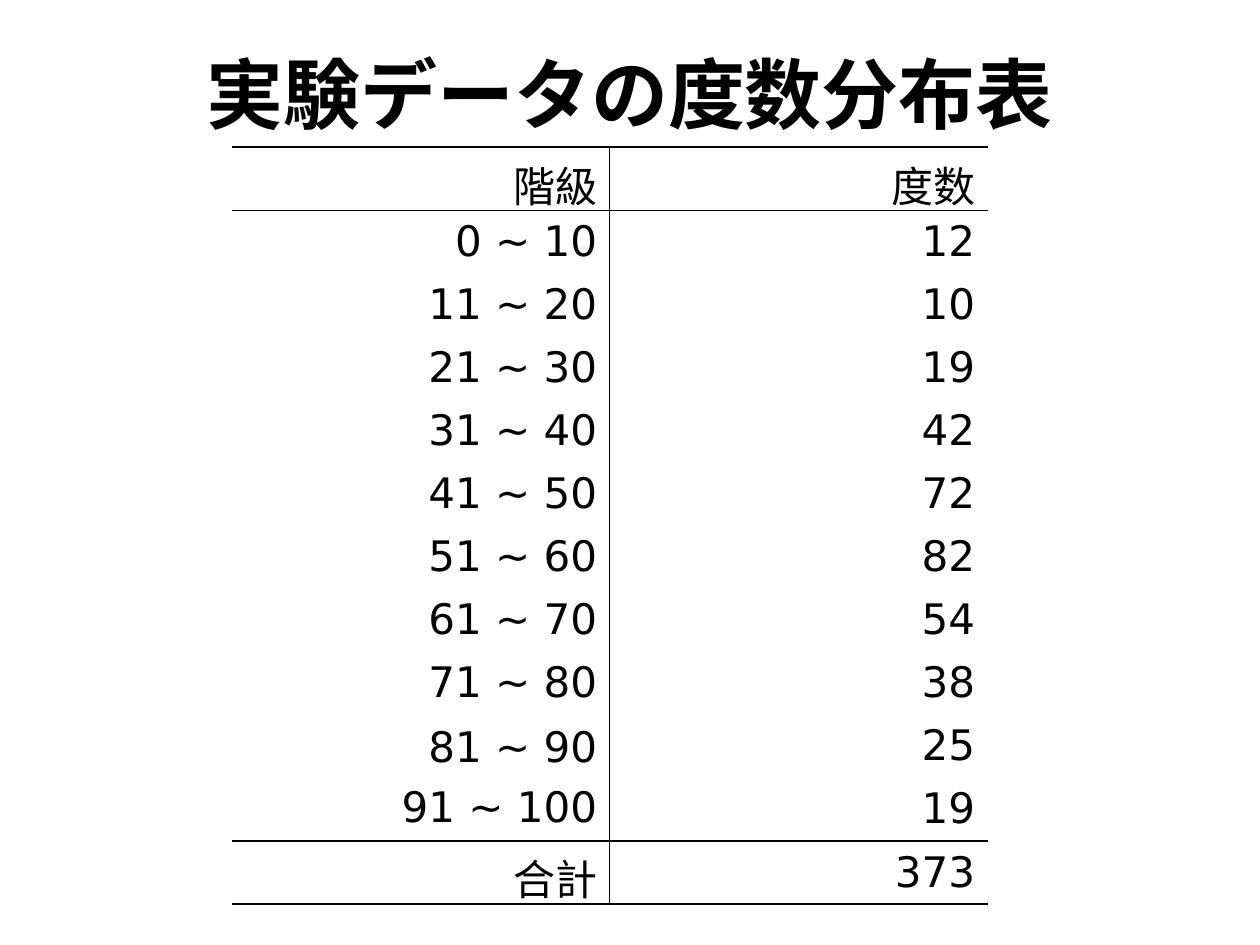
import pptx
import pptx.dml.color
import pptx.enum.text
import pptx.oxml
import pptx.oxml.ns
import pptx.util
from pptx.util import Cm

COLORS = {"text": "000000", "rule": "000000"}
OUTER, INNER, DIVIDER = 1.47, 1.08, 0.45

FREQUENCIES = [
    ("階級", "度数"),
    ("0 ~ 10", "12"),
    ("11 ~ 20", "10"),
    ("21 ~ 30", "19"),
    ("31 ~ 40", "42"),
    ("41 ~ 50", "72"),
    ("51 ~ 60", "82"),
    ("61 ~ 70", "54"),
    ("71 ~ 80", "38"),
    ("81 ~ 90", "25"),
    ("91 ~ 100", "19"),
    ("合計", "373"),
]
TOTAL_ROW = len(FREQUENCIES) - 1
MERGED_ROWS = (TOTAL_ROW - 2, TOTAL_ROW - 1)


class SlideBuilder:
    font = "DejaVu Sans"

    def __init__(self, slide):
        self.slide = slide

    def add_text(self, paragraph, text, size, align, bold=False):
        paragraph.alignment = align
        run = paragraph.add_run()
        run.text = text
        run.font.name = self.font
        run.font.size = pptx.util.Pt(size)
        run.font.bold = bold
        run.font.color.rgb = pptx.dml.color.RGBColor.from_string(COLORS["text"])

    def title(self, text, left, top, width, height):
        heading = self.slide.shapes.add_textbox(left, top, width, height)
        frame = heading.text_frame
        frame.word_wrap = True
        frame.vertical_anchor = pptx.enum.text.MSO_ANCHOR.MIDDLE
        self.add_text(frame.paragraphs[0], text, 44, pptx.enum.text.PP_ALIGN.CENTER, True)

    def borders(self, cell, widths):
        properties = cell._tc.get_or_add_tcPr()
        for position, side in enumerate("LRTB"):
            width = widths.get(side)
            if width:
                paint = f'<a:solidFill><a:srgbClr val="{COLORS["rule"]}"/></a:solidFill>'
            else:
                paint = "<a:noFill/>"
            line = pptx.oxml.parse_xml(
                f'<a:ln{side} {pptx.oxml.ns.nsdecls("a")} '
                f'w="{int(pptx.util.Pt(width or 0))}">{paint}</a:ln{side}>'
            )
            properties.insert(position, line)

    def fill_cell(self, cell, texts):
        cell.fill.background()
        cell.vertical_anchor = pptx.enum.text.MSO_ANCHOR.MIDDLE
        frame = cell.text_frame
        for index, text in enumerate(texts):
            paragraph = frame.add_paragraph() if index else frame.paragraphs[0]
            paragraph.space_before = pptx.util.Pt(6)
            self.add_text(paragraph, text, 24, pptx.enum.text.PP_ALIGN.RIGHT)

    def table(self, rows, left, top, width, row_height):
        frequency_table = self.slide.shapes.add_table(
            len(rows), 2, left, top, width, row_height * len(rows)
        ).table
        frequency_table.first_row = False
        frequency_table.horz_banding = False
        first, last = MERGED_ROWS
        frequency_table.cell(first, 0).merge(frequency_table.cell(last, 0))

        rules = {0: OUTER, 1: INNER, TOTAL_ROW: INNER, TOTAL_ROW + 1: OUTER}
        for r, values in enumerate(rows):
            for c, value in enumerate(values):
                cell = frequency_table.cell(r, c)
                texts = [value]
                bottom = r + 1
                if cell.is_merge_origin:
                    texts = [rows[i][c] for i in MERGED_ROWS]
                    bottom = last + 1
                elif cell.is_spanned:
                    texts = []
                self.fill_cell(cell, texts)
                divider_side = "R" if c == 0 else "L"
                self.borders(
                    cell,
                    {divider_side: DIVIDER, "T": rules.get(r), "B": rules.get(bottom)},
                )


def main():
    deck = pptx.Presentation()
    deck.slide_width, deck.slide_height = Cm(25.4), Cm(19.05)
    builder = SlideBuilder(deck.slides.add_slide(deck.slide_layouts[6]))
    builder.title("実験データの度数分布表", Cm(1.27), Cm(0.76), Cm(22.86), Cm(2.21))
    builder.table(FREQUENCIES, Cm(4.67), Cm(2.97), Cm(15.24), Cm(1.27))
    deck.save("out.pptx")


if __name__ == "__main__":
    main()
